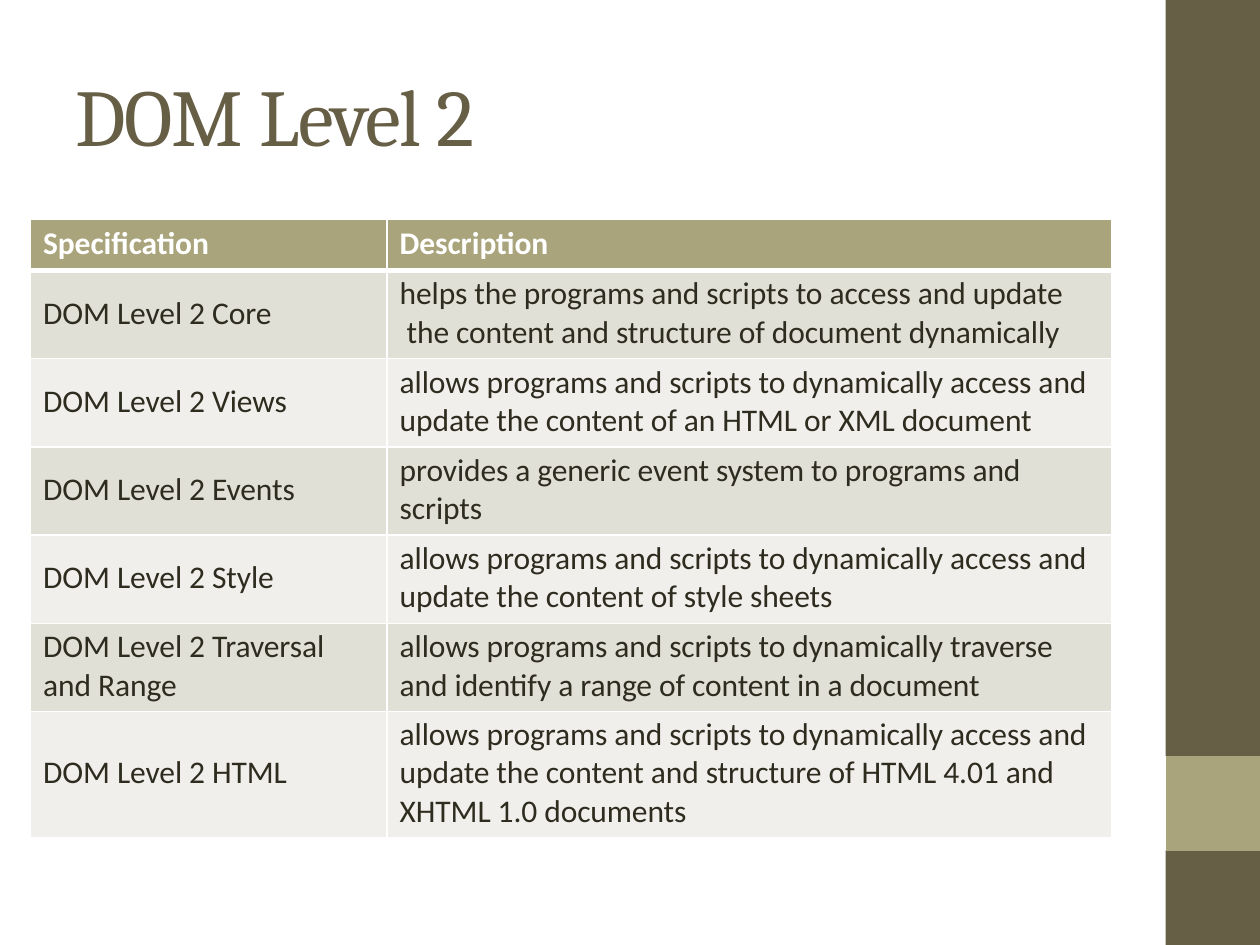
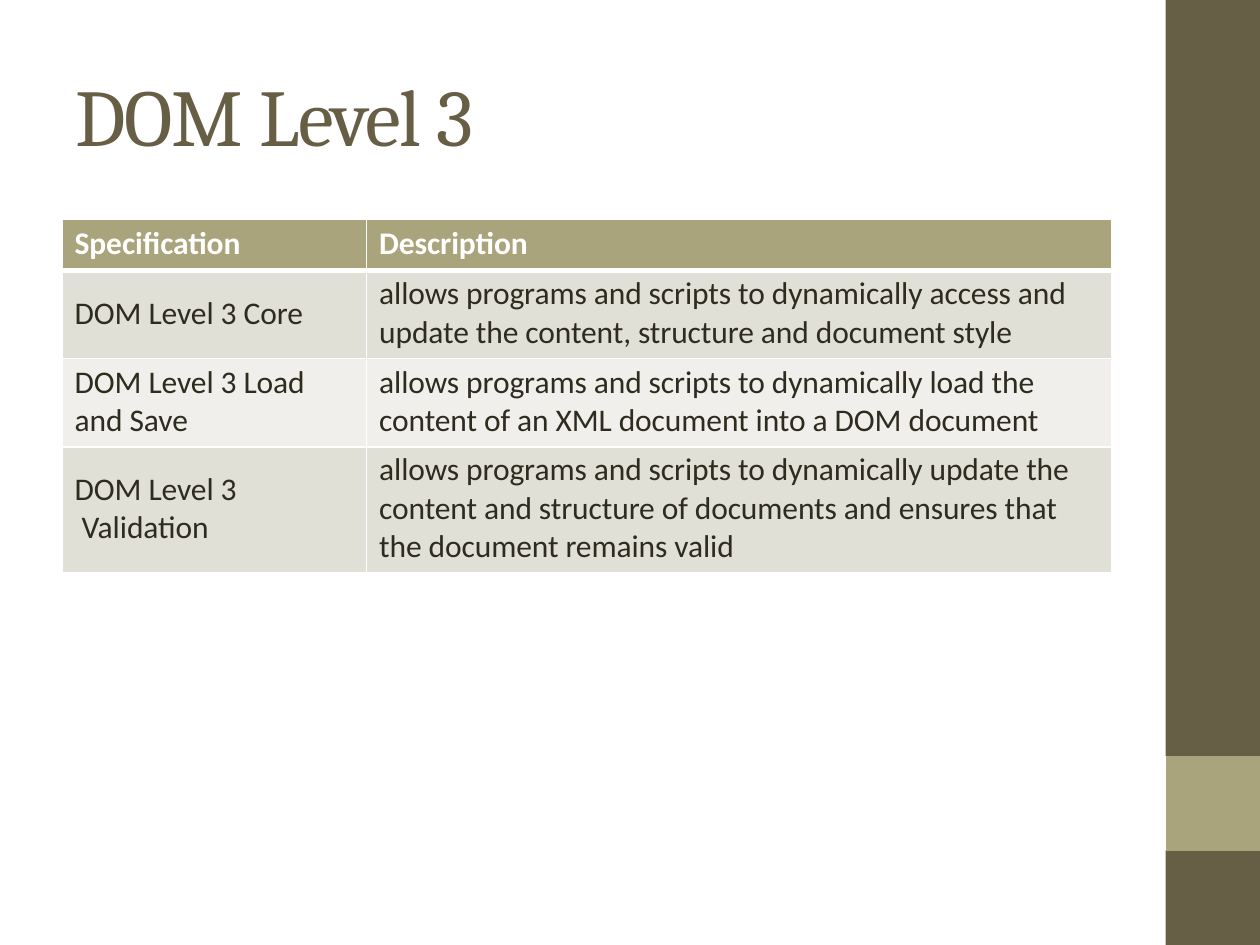
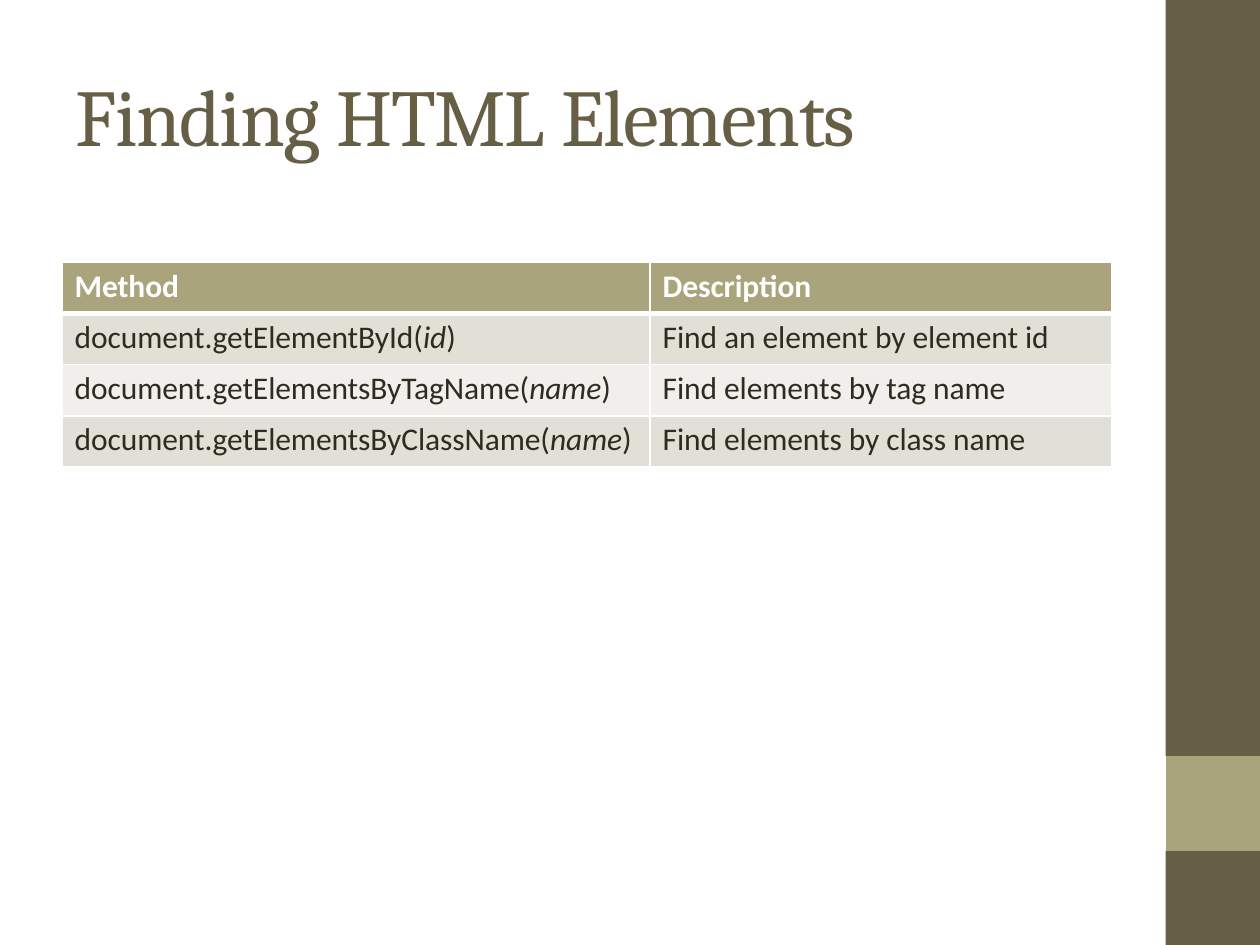
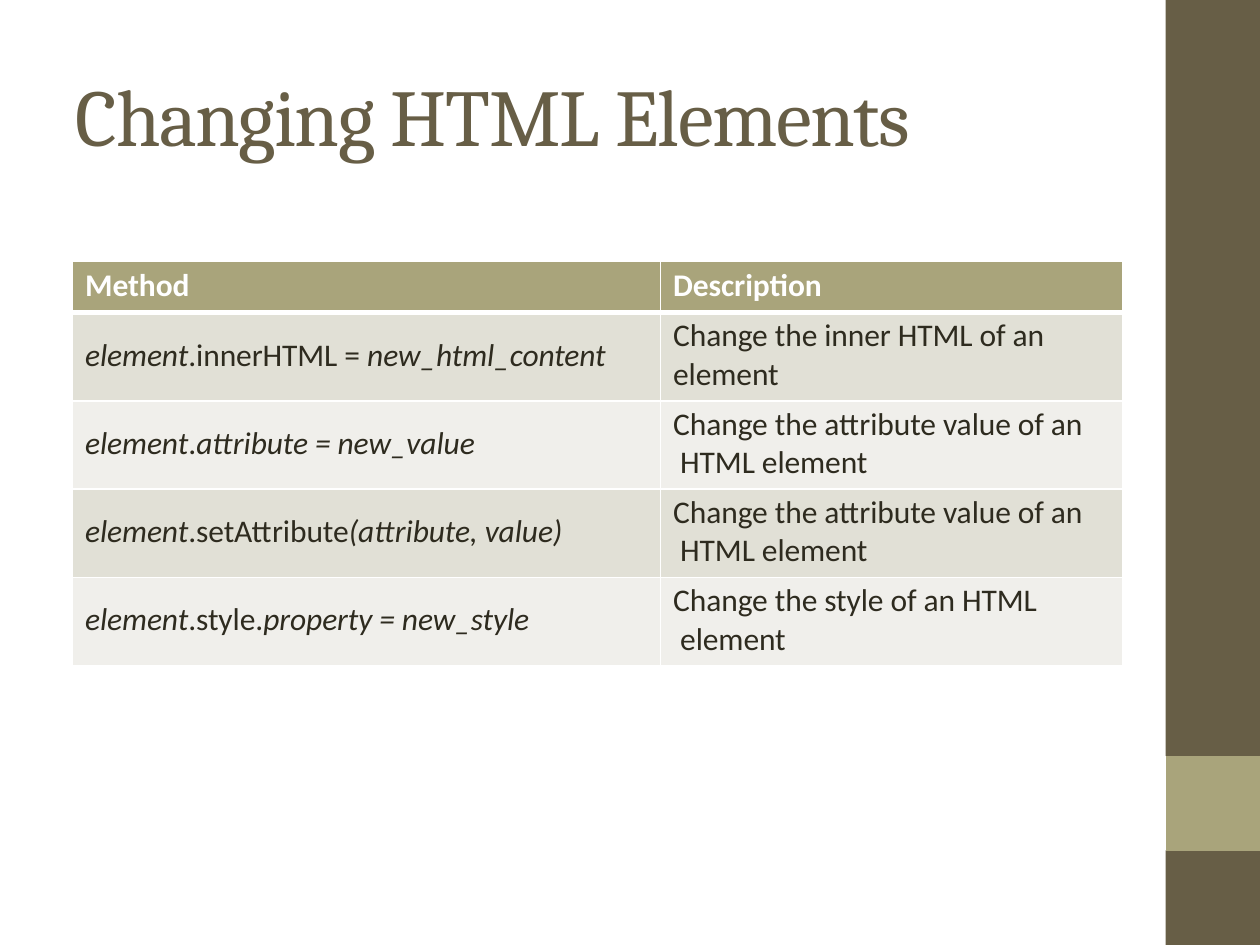
from dataclasses import dataclass

from lxml import etree
from pptx import Presentation
from pptx.dml.color import RGBColor
from pptx.enum.text import MSO_ANCHOR, MSO_AUTO_SIZE, PP_ALIGN
from pptx.oxml.ns import qn
from pptx.util import Pt

MIDDLE, TOP = MSO_ANCHOR.MIDDLE, MSO_ANCHOR.TOP
LEFT = PP_ALIGN.LEFT
GROW = MSO_AUTO_SIZE.SHAPE_TO_FIT_TEXT
TITLE_ONLY = 5

SLIDE_W, SLIDE_H = 720, 540
BAND_X, BLOCK_TOP, BLOCK_BOTTOM = 666, 432, 486

BROWN, OLIVE, WHITE, INK = "675E46", "A9A47B", "FFFFFF", "2E2B1F"
STRIPES = ("E1E0D6", "F0EFEB")

HEADER_H = 29.2
THIN, THICK = 1, 3

TITLE_FONT = {"name": "Cambria", "size": Pt(46), "bold": False}
BODY_FONT = {"name": "Calibri", "size": Pt(18)}
BODY_SPACING = -0.05
TITLE_FRAME = {"margin_left": Pt(0.9), "margin_top": Pt(0.9), "margin_right": 0,
               "margin_bottom": 0, "vertical_anchor": TOP, "word_wrap": True,
               "auto_size": GROW}
CELL_FORMAT = {"margin_left": Pt(7.2), "margin_top": 0, "margin_right": 0,
               "margin_bottom": Pt(1.6), "vertical_anchor": MIDDLE}


@dataclass
class TitleRun:
    text: str
    spacing: float


@dataclass
class Row:
    """Asterisks enclose italic text; a line feed starts a paragraph, a bar a line."""
    name: str
    description: str
    height: float = 50.4


@dataclass
class TableSlide:
    title: list[TitleRun]
    title_width: float
    left: float
    top: float
    columns: tuple[float, float]
    name_header: str
    rows: list[Row]


def level_title(number: str) -> list[TitleRun]:
    return [TitleRun("DOM ", -0.7), TitleRun("Level ", -1.05), TitleRun(number, -0.1)]


def elements_title(verb: str) -> list[TitleRun]:
    return [TitleRun(f"{verb} ", -0.9), TitleRun("HTML ", -0.75),
            TitleRun("Elements", -0.85)]


SLIDES = [
    TableSlide(level_title("2"), 239.8, 17.5, 125.4, (203.75, 414), "Specification", [
        Row("DOM Level 2 Core",
            "helps the programs and scripts to access and update|"
            " the content and structure of document dynamically"),
        Row("DOM Level 2 Views",
            "allows programs and scripts to dynamically access and\n"
            "update the content of an HTML or XML document"),
        Row("DOM Level 2 Events",
            "provides a generic event system to programs and|scripts"),
        Row("DOM Level 2 Style",
            "allows programs and scripts to dynamically access and|"
            "update the content of style sheets"),
        Row("DOM Level 2 Traversal|and Range",
            "allows programs and scripts to dynamically traverse|"
            "and identify a range of content in a document"),
        Row("DOM Level 2 HTML",
            "allows programs and scripts to dynamically access and|"
            "update the content and structure of HTML 4.01 and|"
            "XHTML 1.0 documents", 72),
    ]),
    TableSlide(level_title("3"), 239.8, 35.5, 125.4, (174, 426), "Specification", [
        Row("DOM Level 3 Core",
            "allows programs and scripts to dynamically access and|"
            "update the content, structure and document style"),
        Row("DOM Level 3 Load\nand Save",
            "allows programs and scripts to dynamically load the\n"
            "content of an XML document into a DOM document"),
        Row("DOM Level 3| Validation",
            "allows programs and scripts to dynamically update the|"
            "content and structure of documents and ensures that|"
            "the document remains valid", 72),
    ]),
    TableSlide(elements_title("Finding"), 456.5, 35.5, 150, (336, 264), "Method", [
        Row("document.getElementById(*id*)",
            "Find an element by element id", HEADER_H),
        Row("document.getElementsByTagName(*name*)",
            "Find elements by tag name", HEADER_H),
        Row("document.getElementsByClassName(*name*)",
            "Find elements by class name", HEADER_H),
    ]),
    TableSlide(elements_title("Changing"), 488.9, 41.5, 149.5, (336, 264), "Method", [
        Row("*element*.innerHTML = *new_html_content*",
            "Change the inner HTML of an\nelement"),
        Row("*element*.*attribute = new_value*",
            "Change the attribute value of an| HTML element"),
        Row("*element*.setAttribute*(attribute, value)*",
            "Change the attribute value of an| HTML element"),
        Row("*element*.style.*property = new_style*",
            "Change the style of an HTML| element"),
    ]),
]


def rgb(value: str) -> RGBColor:
    return RGBColor.from_string(value)


def apply(target, values: dict) -> None:
    for name, value in values.items():
        setattr(target, name, value)


def add_run(p, text: str, color: str, spacing: float, font: dict) -> None:
    r = p.add_run()
    r.text = text
    apply(r.font, font)
    r.font.color.rgb = rgb(color)
    r.font._element.set("spc", str(round(spacing * 100)))


def add_band(slide, layout, color: str, spans: list[tuple[float, float]]) -> None:
    """Build right-edge rectangles as one outline and move it to the layout."""
    builder = slide.shapes.build_freeform(Pt(SLIDE_W), Pt(spans[0][0]))
    for i, (top, bottom) in enumerate(spans):
        if i:
            builder.move_to(Pt(SLIDE_W), Pt(top))
        corners = [(BAND_X, top), (BAND_X, bottom), (SLIDE_W, bottom)]
        builder.add_line_segments([(Pt(x), Pt(y)) for x, y in corners], close=True)
    sp = builder.convert_to_shape()
    sp.shadow.inherit = False
    sp.fill.solid()
    sp.fill.fore_color.rgb = rgb(color)
    sp.line.fill.background()
    layout.shapes.element.append(sp.element)


def format_title(slide, runs: list[TitleRun], width: float) -> None:
    sp = slide.shapes.title
    apply(sp, {"left": Pt(42.5), "top": Pt(36.7), "width": Pt(width), "height": Pt(56.9)})
    apply(sp.text_frame, TITLE_FRAME)
    p = sp.text_frame.paragraphs[0]
    p.alignment = LEFT
    for run in runs:
        add_run(p, run.text, BROWN, run.spacing, TITLE_FONT)


def add_border(cell, side: str, width: float) -> None:
    ln = etree.SubElement(cell._tc.get_or_add_tcPr(), qn(f"a:ln{side}"), w=str(Pt(width)))
    fill = etree.SubElement(ln, qn("a:solidFill"))
    etree.SubElement(fill, qn("a:srgbClr"), val=WHITE)


def add_paragraph_runs(p, text: str, color: str, bold: bool) -> None:
    for i, line in enumerate(text.split("|")):
        if i:
            p.add_line_break()
        for j, part in enumerate(line.split("*")):
            if part:
                font = BODY_FONT | {"bold": bold, "italic": j % 2 == 1}
                add_run(p, part, color, BODY_SPACING, font)


def fill_cell(cell, text: str, row: int) -> None:
    header = row == 0
    apply(cell, CELL_FORMAT)
    widths = {"L": THIN, "R": THIN, "T": THICK if row == 1 else THIN,
              "B": THICK if header else THIN}
    for side, width in widths.items():
        add_border(cell, side, width)
    cell.fill.solid()
    cell.fill.fore_color.rgb = rgb(OLIVE if header else STRIPES[(row - 1) % 2])

    tf = cell.text_frame
    for i, paragraph in enumerate(text.split("\n")):
        p = tf.add_paragraph() if i else tf.paragraphs[0]
        add_paragraph_runs(p, paragraph, WHITE if header else INK, header)


def add_spec_table(slide, data: TableSlide) -> None:
    rows = [Row(data.name_header, "Description", HEADER_H), *data.rows]
    height = sum(row.height for row in rows)
    table = slide.shapes.add_table(len(rows), len(data.columns), Pt(data.left), Pt(data.top),
                                   Pt(sum(data.columns)), Pt(height)).table
    table.horz_banding = False
    for column, width in zip(table.columns, data.columns):
        column.width = Pt(width)
    for i, row in enumerate(rows):
        table.rows[i].height = Pt(row.height)
        for j, text in enumerate((row.name, row.description)):
            fill_cell(table.cell(i, j), text, i)


def main() -> None:
    prs = Presentation()
    prs.slide_width, prs.slide_height = Pt(SLIDE_W), Pt(SLIDE_H)
    layout = prs.slide_layouts[TITLE_ONLY]
    for sp in list(layout.placeholders)[1:]:
        layout.shapes.element.remove(sp.element)

    for i, data in enumerate(SLIDES):
        slide = prs.slides.add_slide(layout)
        if i == 0:
            add_band(slide, layout, BROWN, [(BLOCK_BOTTOM, SLIDE_H), (0, BLOCK_TOP)])
            add_band(slide, layout, OLIVE, [(BLOCK_TOP, BLOCK_BOTTOM)])
        format_title(slide, data.title, data.title_width)
        add_spec_table(slide, data)
    prs.save("out.pptx")


if __name__ == "__main__":
    main()
